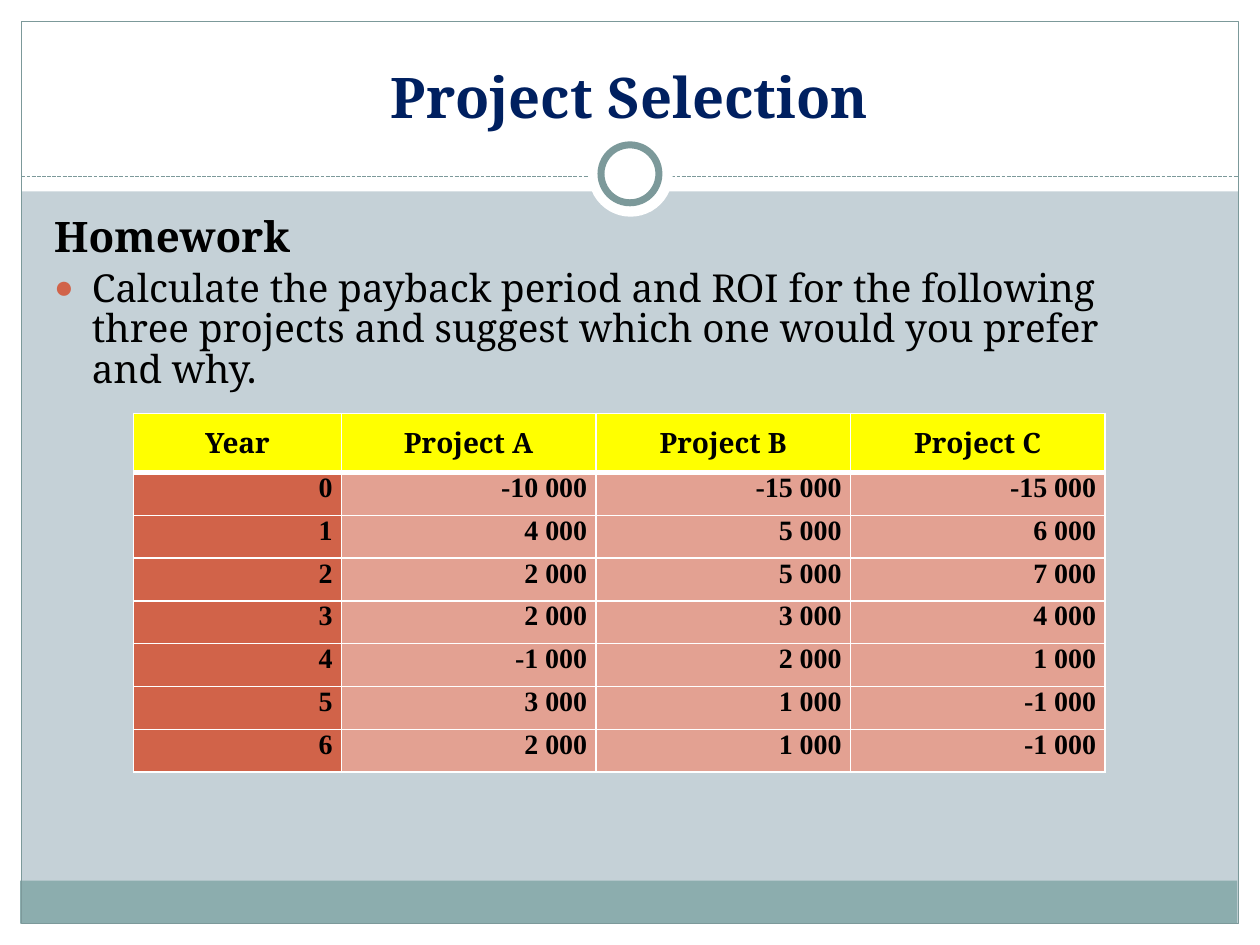
from dataclasses import dataclass

from lxml import etree
from pptx import Presentation
from pptx.dml.color import RGBColor
from pptx.enum.dml import MSO_LINE
from pptx.enum.shapes import MSO_CONNECTOR, MSO_SHAPE
from pptx.enum.text import MSO_ANCHOR, MSO_AUTO_SIZE, PP_ALIGN
from pptx.oxml.ns import qn
from pptx.util import Inches, Pt

RECTANGLE, OVAL = MSO_SHAPE.RECTANGLE, MSO_SHAPE.OVAL
STRAIGHT, DASH = MSO_CONNECTOR.STRAIGHT, MSO_LINE.SQUARE_DOT
LEFT, CENTER, RIGHT = PP_ALIGN.LEFT, PP_ALIGN.CENTER, PP_ALIGN.RIGHT
TOP, MIDDLE, BOTTOM = MSO_ANCHOR.TOP, MSO_ANCHOR.MIDDLE, MSO_ANCHOR.BOTTOM
NO_AUTOFIT = MSO_AUTO_SIZE.NONE


@dataclass(frozen=True)
class Theme:
    background: str = "C5D1D7"
    white: str = "FFFFFF"
    black: str = "000000"
    navy: str = "002060"
    footer: str = "8CADAE"
    frame: str = "7C999A"
    accent: str = "D16349"
    accent_light: str = "E3A192"
    header: str = "FFFF00"
    font: str = "Noto Serif"
    number_font: str = "Times New Roman"
    title_size: int = 32
    heading_size: int = 24
    body_size: int = 22
    table_size: int = 16


THEME = Theme()


@dataclass(frozen=True)
class Panel:
    left: float
    top: float
    width: float
    height: float
    fill: str | None = THEME.white
    line: str | None = None
    line_width: float = 0.75
    kind: MSO_SHAPE = RECTANGLE


PANELS_BELOW_RULE = (
    Panel(0, 7.33, 10, 0.17),
    Panel(0, 0, 10, 1.52),
    Panel(0, 0, 0.17, 7.5),
    Panel(9.83, 0, 0.17, 7.5),
    Panel(0.16, 6.99, 9.66, 0.34, THEME.footer),
    Panel(0.17, 0.17, 9.66, 7.16, None, THEME.frame),
)
PANELS_ABOVE_RULE = (
    Panel(4.67, 1.05, 0.67, 0.67, kind=OVAL),
    Panel(4.77, 1.15, 0.46, 0.46, THEME.white, THEME.frame, 4, OVAL),
)
PROJECT_ROWS = (
    ("Year", "Project A", "Project B", "Project C"),
    ("0", "-10 000", "-15 000", "-15 000"),
    ("1", "4 000", "5 000", "6 000"),
    ("2", "2 000", "5 000", "7 000"),
    ("3", "2 000", "3 000", "4 000"),
    ("4", "-1 000", "2 000", "1 000"),
    ("5", "3 000", "1 000", "-1 000"),
    ("6", "2 000", "1 000", "-1 000"),
)


def rgb(value: str) -> RGBColor:
    return RGBColor.from_string(value)


def add_panel(slide, panel: Panel) -> None:
    box = (Inches(value) for value in (panel.left, panel.top, panel.width, panel.height))
    shape = slide.shapes.add_shape(panel.kind, *box)
    shape.shadow.inherit = False
    if panel.fill:
        shape.fill.solid()
        shape.fill.fore_color.rgb = rgb(panel.fill)
    else:
        shape.fill.background()
    if panel.line:
        shape.line.color.rgb = rgb(panel.line)
        shape.line.width = Pt(panel.line_width)
    else:
        shape.line.fill.background()


def add_rule(slide) -> None:
    rule = slide.shapes.add_connector(STRAIGHT, Inches(0.17), Inches(1.4), Inches(9.83), Inches(1.4))
    rule.line.color.rgb = rgb(THEME.frame)
    rule.line.width = Pt(0.75)
    rule.line.dash_style = DASH
    etree.SubElement(rule.element.spPr, qn("a:effectLst"))


def format_paragraph(paragraph, size: int, color: str, bold: bool, align: PP_ALIGN,
                     font: str = THEME.font) -> None:
    paragraph.alignment = align
    for run in paragraph.runs:
        run.font.name = font
        run.font.size = Pt(size)
        run.font.bold = bold
        run.font.color.rgb = rgb(color)


def place_placeholder(shape, left: float, top: float, width: float, height: float,
                      anchor: MSO_ANCHOR) -> None:
    shape.left, shape.top = Inches(left), Inches(top)
    shape.width, shape.height = Inches(width), Inches(height)
    shape.text_frame.word_wrap = True
    shape.text_frame.auto_size = NO_AUTOFIT
    shape.text_frame.vertical_anchor = anchor
    shape.element.getparent().append(shape.element)


def set_bullet(paragraph, visible: bool) -> None:
    properties = paragraph._p.get_or_add_pPr()
    indent = Inches(0.3) if visible else 0
    properties.set("marL", str(indent))
    properties.set("indent", str(-indent))
    if not visible:
        etree.SubElement(properties, qn("a:buNone"))
        return
    color = etree.SubElement(properties, qn("a:buClr"))
    etree.SubElement(color, qn("a:srgbClr"), val=THEME.accent)
    etree.SubElement(properties, qn("a:buSzPct"), val="85000")
    etree.SubElement(properties, qn("a:buChar"), char="●")


def fill_text(slide) -> None:
    title, body = slide.placeholders
    place_placeholder(title, 0.33, 0.25, 9.33, 0.83, BOTTOM)
    title.text_frame.text = "Project Selection"
    format_paragraph(title.text_frame.paragraphs[0], THEME.title_size, THEME.navy, True, CENTER)

    place_placeholder(body, 0.33, 1.67, 9.08, 5, TOP)
    body.text_frame.text = (
        "Homework\nCalculate the payback period and ROI for the following three projects "
        "and suggest which one would you prefer and why."
    )
    heading, task = body.text_frame.paragraphs
    format_paragraph(heading, THEME.heading_size, THEME.black, True, LEFT)
    format_paragraph(task, THEME.body_size, THEME.black, False, LEFT)
    for paragraph in (heading, task):
        set_bullet(paragraph, paragraph is task)
        paragraph.line_spacing = 0.88
        paragraph.space_before = Pt(5)


def set_borders(cell, top: float, bottom: float) -> None:
    properties = cell._tc.get_or_add_tcPr()
    for side, width in (("L", 1), ("R", 1), ("T", top), ("B", bottom)):
        line = etree.SubElement(properties, qn(f"a:ln{side}"), w=str(Pt(width)))
        fill = etree.SubElement(line, qn("a:solidFill"))
        etree.SubElement(fill, qn("a:srgbClr"), val=THEME.white)


def add_project_table(slide) -> None:
    frame = slide.shapes.add_table(len(PROJECT_ROWS), len(PROJECT_ROWS[0]),
                                   Inches(1.06), Inches(3.28), Inches(7.72), Inches(2.85))
    table = frame.table
    for index, column in enumerate(table.columns):
        column.width = Inches(2.02 if index else 1.65)
    for row_index, values in enumerate(PROJECT_ROWS):
        is_header = row_index == 0
        table.rows[row_index].height = Inches(0.47 if is_header else 0.34)
        for column_index, value in enumerate(values):
            cell = table.cell(row_index, column_index)
            cell.text = value
            cell.margin_left = cell.margin_right = Inches(0.07)
            cell.margin_top = cell.margin_bottom = 0
            cell.vertical_anchor = MIDDLE if is_header else TOP
            set_borders(cell, 3 if row_index == 1 else 1, 3 if is_header else 1)
            cell.fill.solid()
            body_color = THEME.accent_light if column_index else THEME.accent
            cell.fill.fore_color.rgb = rgb(THEME.header if is_header else body_color)
            format_paragraph(cell.text_frame.paragraphs[0], THEME.table_size, THEME.black, True,
                             CENTER if is_header else RIGHT,
                             THEME.font if is_header else THEME.number_font)


def main() -> None:
    """Build the project selection homework slide."""
    presentation = Presentation()
    presentation.slide_width, presentation.slide_height = Inches(10), Inches(7.5)
    slide = presentation.slides.add_slide(presentation.slide_layouts[1])
    slide.background.fill.solid()
    slide.background.fill.fore_color.rgb = rgb(THEME.background)
    for panel in PANELS_BELOW_RULE:
        add_panel(slide, panel)
    add_rule(slide)
    for panel in PANELS_ABOVE_RULE:
        add_panel(slide, panel)
    fill_text(slide)
    add_project_table(slide)
    presentation.save("out.pptx")


main()
